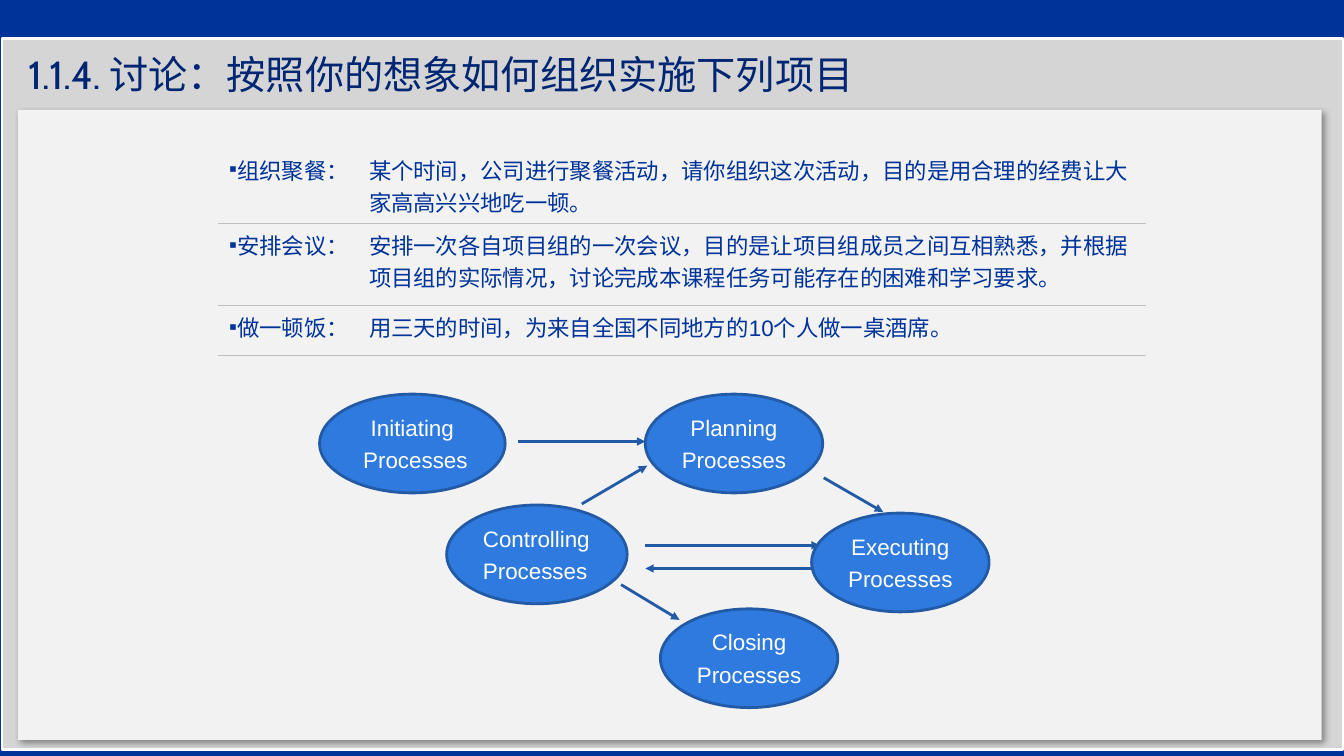
from typing import NamedTuple

from lxml.etree import SubElement
from pptx import Presentation
from pptx.dml.color import RGBColor
from pptx.enum.shapes import MSO_CONNECTOR, MSO_SHAPE
from pptx.enum.text import MSO_ANCHOR, PP_ALIGN
from pptx.oxml.ns import qn
from pptx.util import Pt

SCALE = 9144
NAVY, GREY, WHITE, BLUE, EDGE = "003399", "BFBFBF", "FFFFFF", "2F7ADF", "235AA5"


class Box(NamedTuple):
    left: int
    top: int
    width: int
    height: int


class Stage(NamedTuple):
    box: Box
    lines: tuple[str, str]
    align: PP_ALIGN = PP_ALIGN.CENTER


class Arrow(NamedTuple):
    x1: int
    y1: int
    x2: int
    y2: int


class Task(NamedTuple):
    label: str
    text: str
    height: int


STAGES = [
    Stage(Box(317, 391, 184, 98), ("Initiating", " Processes")),
    Stage(Box(640, 391, 176, 98), ("Planning", "Processes")),
    Stage(Box(443, 501, 179, 98), ("Controlling", "Processes"), PP_ALIGN.LEFT),
    Stage(Box(805, 509, 176, 98), ("Executing", "Processes")),
    Stage(Box(655, 604, 176, 98), ("Closing", "Processes")),
]
ARROWS = [
    Arrow(514, 438, 640, 438),
    Arrow(640, 541, 813, 541),
    Arrow(577, 500, 642, 462),
    Arrow(817, 474, 876, 508),
    Arrow(616, 580, 674, 615),
    Arrow(807, 564, 640, 564),
]
TASKS = [
    Task("组织聚餐：", "某个时间，公司进行聚餐活动，请你组织这次活动，目的是用合理的经费让大家高高兴兴地吃一顿。", 75),
    Task("安排会议：", "安排一次各自项目组的一次会议，目的是让项目组成员之间互相熟悉，并根据项目组的实际情况，讨论完成本课程任务可能存在的困难和学习要求。", 81),
    Task("做一顿饭：", "用三天的时间，为来自全国不同地方的10个人做一桌酒席。", 50),
]


def px(size: int) -> int:
    return size * SCALE


def place(box: Box) -> list[int]:
    return [px(size) for size in box]


def paint(color, code: str) -> None:
    color.rgb = RGBColor.from_string(code)


def style(para, size: int, face: str, code: str) -> None:
    para.font.size = Pt(size)
    para.font.name = face
    paint(para.font.color, code)


def draw(shapes, kind: MSO_SHAPE, box: Box, fill: str, line: str = ""):
    shape = shapes.add_shape(kind, *place(box))
    shape.shadow.inherit = False
    shape.fill.solid()
    paint(shape.fill.fore_color, fill)
    if line:
        paint(shape.line.color, line)
        shape.line.width = Pt(2)
    else:
        shape.line.fill.background()
    return shape


def add_shade(shape) -> None:
    effects = shape._element.spPr.find(qn("a:effectLst"))
    shade = SubElement(effects, qn("a:outerShdw"), blurRad=str(Pt(4)),
                       dist=str(Pt(3)), dir="2700000", algn="tl", rotWithShape="0")
    color = SubElement(shade, qn("a:srgbClr"), val="000000")
    SubElement(color, qn("a:alpha"), val="40000")


def add_title(shapes, text: str) -> None:
    frame = shapes.add_textbox(*place(Box(18, 47, 1292, 53))).text_frame
    frame.word_wrap = True
    frame.vertical_anchor = MSO_ANCHOR.MIDDLE
    frame.text = text
    style(frame.paragraphs[0], 28, "Cabin", "002673")


def add_stage(shapes, stage: Stage) -> None:
    frame = draw(shapes, MSO_SHAPE.OVAL, stage.box, BLUE, EDGE).text_frame
    frame.word_wrap = False
    frame.vertical_anchor = MSO_ANCHOR.MIDDLE
    frame.text = "\n".join(stage.lines)
    for para in frame.paragraphs:
        para.alignment = stage.align
        style(para, 16, "Arial", WHITE)
    frame.paragraphs[1].space_before = Pt(4)


def add_arrow(shapes, arrow: Arrow) -> None:
    link = shapes.add_connector(MSO_CONNECTOR.STRAIGHT, *[px(part) for part in arrow])
    paint(link.line.color, EDGE)
    link.line.width = Pt(2)
    SubElement(link.line._get_or_add_ln(), qn("a:tailEnd"), type="triangle")
    SubElement(link._element.spPr, qn("a:effectLst"))


def add_rules(cell, first: bool) -> None:
    props = cell._tc.get_or_add_tcPr()
    for side in "LRTB":
        edge = SubElement(props, qn(f"a:ln{side}"), w=str(Pt(1)))
        if side == "B" or side == "T" and not first:
            fill = SubElement(edge, qn("a:solidFill"))
            SubElement(fill, qn("a:srgbClr"), val=GREY)
        else:
            SubElement(edge, qn("a:noFill"))


def add_bullet(para) -> None:
    props = para._p.get_or_add_pPr()
    props.set("marL", "0")
    props.set("indent", "0")
    SubElement(props, qn("a:buFont"), typeface="Arial")
    SubElement(props, qn("a:buChar"), char="▪")


def add_tasks(shapes, tasks: list[Task]) -> None:
    box = Box(216, 147, 921, sum(task.height for task in tasks))
    table = shapes.add_table(len(tasks), 2, *place(box)).table
    table.first_row = table.horz_banding = False
    for col, width in zip(table.columns, (140, 781)):
        col.width = px(width)
    for index, task in enumerate(tasks):
        table.rows[index].height = px(task.height)
        for spot, text in enumerate((task.label, task.text)):
            cell = table.cell(index, spot)
            cell.text = text
            add_rules(cell, index == 0)
            cell.fill.background()
            para = cell.text_frame.paragraphs[0]
            if spot == 0:
                para.alignment = PP_ALIGN.RIGHT
                add_bullet(para)
            style(para, 16, "Arial", NAVY)


def main() -> None:
    deck = Presentation()
    deck.slide_width, deck.slide_height = px(1333), px(750)
    slide = deck.slides.add_slide(deck.slide_layouts[6])
    slide.background.fill.solid()
    paint(slide.background.fill.fore_color, NAVY)
    shapes = slide.shapes
    draw(shapes, MSO_SHAPE.RECTANGLE, Box(2, 38, 1330, 706), "D5D5D5", WHITE)
    add_shade(draw(shapes, MSO_SHAPE.RECTANGLE, Box(18, 109, 1293, 625), "F2F2F2"))
    add_title(shapes, "1.1.4. 讨论：按照你的想象如何组织实施下列项目")
    add_tasks(shapes, TASKS)
    group = shapes.add_group_shape().shapes
    for stage in STAGES:
        add_stage(group, stage)
    for arrow in ARROWS:
        add_arrow(group, arrow)
    deck.save("out.pptx")


if __name__ == "__main__":
    main()
